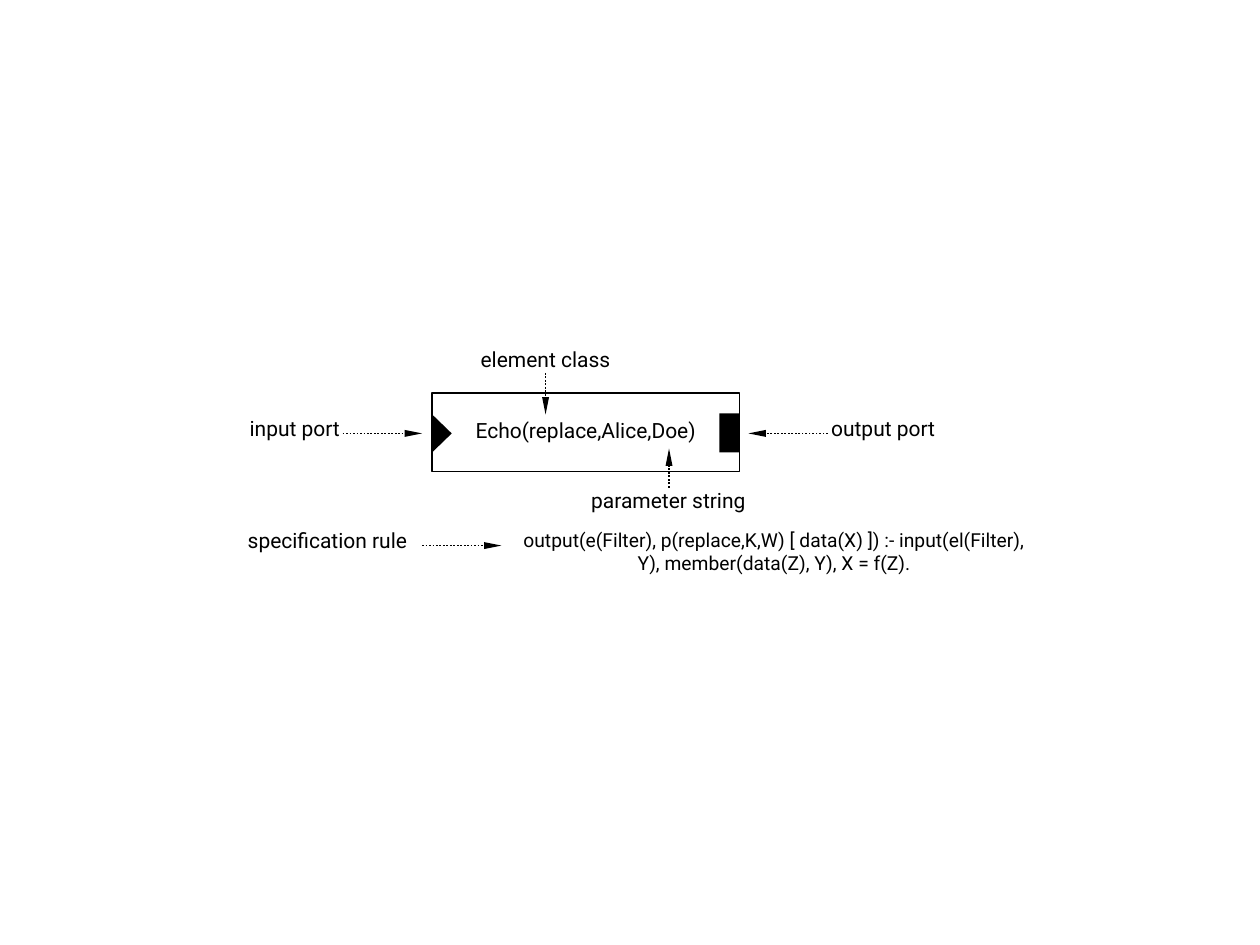
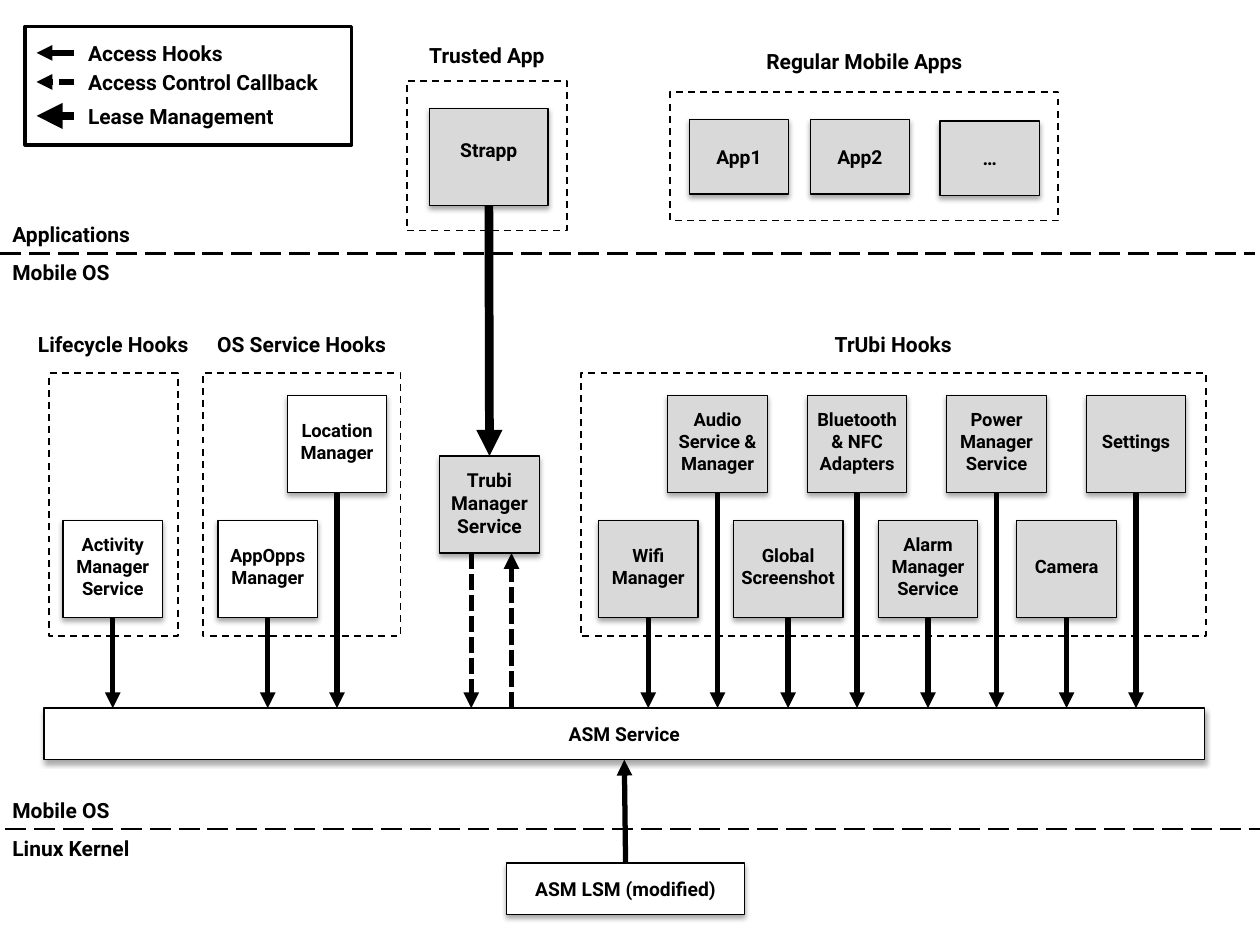
from lxml import etree
from pptx import Presentation
from pptx import util as u
from pptx.dml.color import RGBColor
from pptx.enum import dml, shapes, text
from pptx.oxml.ns import qn

UNIT = u.Inches(0.1)
COLS, ROWS = 100, 75
FONT = "Roboto"
BLACK, WHITE, GREY = "000000", "FFFFFF", "D9D9D9"
RECT = shapes.MSO_SHAPE.RECTANGLE
TRIANGLE = shapes.MSO_SHAPE.ISOSCELES_TRIANGLE
DASH = dml.MSO_LINE
CENTER, LEFT = text.PP_ALIGN.CENTER, text.PP_ALIGN.LEFT
TILE_W, TILE_H = 7.9, 7.7


def rgb(color):
    return RGBColor.from_string(color)


def grid(*lengths):
    return [u.Emu(round(n * UNIT)) for n in lengths]


def write(sp, content, size=12, bold=False, align=CENTER,
          anchor=text.MSO_ANCHOR.TOP, insets=(1, 0.5, 1, 0.5)):
    tf = sp.text_frame
    tf.word_wrap = True
    tf.vertical_anchor = anchor
    tf.margin_left, tf.margin_top, tf.margin_right, tf.margin_bottom = grid(*insets)
    for i, line in enumerate(content.split("\n")):
        p = tf.paragraphs[0] if i == 0 else tf.add_paragraph()
        p.alignment = align
        r = p.add_run()
        r.text = line
        r.font.name, r.font.size, r.font.bold = FONT, u.Pt(size), bold
        r.font.color.rgb = rgb(BLACK)


def label(s, x, y, w, content, h=3, **fmt):
    write(s.shapes.add_textbox(*grid(x, y, w, h)), content, **fmt)


def stroke(line, width, dash=None):
    line.color.rgb = rgb(BLACK)
    line.width = u.Pt(width)
    if dash:
        line.dash_style = dash


def box(s, x, y, w, h, fill=None, width=0.75, dash=None, kind=RECT):
    sp = s.shapes.add_shape(kind, *grid(x, y, w, h))
    sp.shadow.inherit = False
    if fill:
        sp.fill.solid()
        sp.fill.fore_color.rgb = rgb(fill)
    else:
        sp.fill.background()
    if width:
        stroke(sp.line, width, dash)
    else:
        sp.line.fill.background()
    return sp


def cast_shadow(sp):
    effects = sp._element.spPr.find(qn("a:effectLst"))
    shadow = etree.SubElement(effects, qn("a:outerShdw"), blurRad=str(u.Pt(3.1)),
                              dist=str(u.Pt(1.8)), dir="5400000",
                              algn="t", rotWithShape="0")
    color = etree.SubElement(shadow, qn("a:srgbClr"), val=BLACK)
    etree.SubElement(color, qn("a:alpha"), val="35000")


def tile(s, x, y, w, h, content, fill=GREY, size=10.5, lift=0.5):
    sp = box(s, x, y, w, h, fill)
    cast_shadow(sp)
    write(sp, content, size=size, bold=True, anchor=text.MSO_ANCHOR.MIDDLE,
          insets=(0.4, 0, 0.4, lift))
    return sp


def connect(s, x1, y1, x2, y2, width=3, dash=None, head=("med", "med"),
            start=None, end=None):
    c = s.shapes.add_connector(shapes.MSO_CONNECTOR.STRAIGHT, *grid(x1, y1, x2, y2))
    if start:
        c.begin_connect(*start)
    if end:
        c.end_connect(*end)
    stroke(c.line, width, dash)
    if head:
        etree.SubElement(c.line._get_or_add_ln(), qn("a:tailEnd"),
                         type="triangle", w=head[0], len=head[1])
    etree.SubElement(c._element.spPr, qn("a:effectLst"))


def pointer(s, *ends):
    connect(s, *ends, width=1, dash=DASH.ROUND_DOT, head=("sm", "lg"))


def element(s, x, y, w, h):
    body = box(s, x, y, w, h)
    write(body, "Echo(replace,Alice,Doe)", anchor=text.MSO_ANCHOR.MIDDLE,
          insets=(1, 0, 1, 0.4))
    port_w, port_h = 1.6, 3.1
    box(s, x + w - port_w, y + 1.6, port_w, port_h, BLACK, width=0)
    inlet = box(s, x - 0.8, y + 2.4, port_h, port_w, BLACK, width=0, kind=TRIANGLE)
    inlet.rotation = 90
    for dx, dy, label_w, name in ((-18.4, 1.3, 15, "input port"),
                                  (28.3, 1.3, 15, "output port"),
                                  (1.5, -4.2, 15, "element class"),
                                  (8.1, 7, 21.3, "parameter string")):
        label(s, x + dx, y + dy, label_w, name)
    for x1, y1, x2, y2 in ((-7.1, 3.2, -0.8, 3.2), (w + 7, 3.2, w + 0.7, 3.2),
                           (9, -1.6, 9, 1.7), (18.8, 7.5, 18.8, 4.4)):
        pointer(s, x + x1, y + y1, x + x2, y + y2)


def rule(s, x, y, w):
    label(s, x, y, 15, "specification rule")
    pointer(s, x + 15, y + 1.9, x + 21.3, y + 1.9)
    label(s, x + 21.3, y, w - 21.3,
          "output(e(Filter), p(replace,K,W) [ data(X) ]) :- input(el(Filter), Y), "
          "member(data(Z), Y), X = f(Z).", h=4.7, size=11)


def legend(s, x, y, w, h):
    box(s, x, y, w, h, width=2)
    for dy, name, width, dash in ((2.1, "Access Hooks", 3, None),
                                  (4.4, "Access Control Callback", 3, DASH.SQUARE_DOT),
                                  (7.1, "Lease Management", 5, None)):
        connect(s, x + 3.9, y + dy, x + 0.9, y + dy, width, dash)
        label(s, x + 4, y + dy - 1.5, w - 4, name, bold=True, align=LEFT)


def frame(s, x, y, w, h, title, rise=3.8):
    box(s, x, y, w, h, width=1, dash=DASH.DASH)
    title_w = max(w, 18)
    label(s, x + (w - title_w) / 2, y - rise, title_w, title, bold=True)


def divider(s, x, y, w, above, below):
    connect(s, x, y, x + w, y, width=1.5, dash=DASH.LONG_DASH, head=None)
    for name, top in ((above, y - 3), (below, y)):
        label(s, 0, top, 22, name, bold=True, align=LEFT)


def trusted_app(s, x, y, w, h):
    frame(s, x, y, w, h, "Trusted App", rise=3.5)
    return tile(s, x + 1.8, y + 2.2, 9.4, TILE_H, "Strapp", size=11, lift=1.1)


def regular_apps(s, x, y, w, h):
    frame(s, x, y, w, h, "Regular Mobile Apps", rise=3.9)
    for dx, dy, name in ((1.5, 2.2, "App1"), (11.1, 2.2, "App2"), (21.4, 2.3, "…")):
        tile(s, x + dx, y + dy, TILE_W, 5.9, name, size=11, lift=0)


def hooks(s, x, y, w, h, title, tiles, service, fill=WHITE):
    for dx, row, tile_w, name in tiles:
        sp = tile(s, x + dx, y + 1.8 + 9.9 * row, tile_w, TILE_H, name, fill)
        center = x + dx + tile_w / 2
        connect(s, center, y, center, service.top / UNIT, start=(sp, 2))
    frame(s, x, y, w, h, title)


def manager(s, x, y, strapp, service):
    sp = tile(s, x, y, TILE_W, TILE_H, "Trubi\nManager\nService", size=11, lift=0.3)
    connect(s, x, y, x, y, width=5, start=(strapp, 2), end=(sp, 0))
    bottom, service_top = y + TILE_H, service.top / UNIT
    for dx, y1, y2 in ((2.5, bottom, service_top), (5.7, service_top, bottom)):
        connect(s, x + dx, y1, x + dx, y2, dash=DASH.SQUARE_DOT)


def element_slide(prs):
    s = prs.slides.add_slide(prs.slide_layouts[6])
    element(s, 34.3, 31.2, 24.4, 6.2)
    rule(s, 18.5, 41.4, 64.6)


def architecture_slide(prs):
    s = prs.slides.add_slide(prs.slide_layouts[6])
    divider(s, 0, 20.1, COLS - 0.4, "Applications", "Mobile OS")
    divider(s, 0.4, 65.8, COLS - 0.4, "Mobile OS", "Linux Kernel")
    service = tile(s, 3.5, 56.2, 92.1, 4.1, "ASM Service", WHITE, 11, lift=0)
    kernel = tile(s, 40.2, 68.5, 18.9, 4.1, "ASM LSM (modified)", WHITE, 11, lift=0)
    connect(s, 49.6, 68.5, 49.6, 60.3, start=(kernel, 0), end=(service, 2))

    legend(s, 2, 2.1, 25.9, 9.4)
    strapp = trusted_app(s, 32.3, 6.4, 12.7, 11.9)
    regular_apps(s, 53.2, 7.3, 30.8, 10.2)
    manager(s, 34.9, 36.2, strapp, service)

    top, height = 29.6, 20.9
    hooks(s, 3.9, top, 10.2, height, "Lifecycle Hooks",
          [(1.1, 1, TILE_W, "Activity\nManager\nService")], service)
    hooks(s, 16.1, top, 15.7, height, "OS Service Hooks",
          [(1.2, 1, TILE_W, "AppOpps\nManager"),
           (6.7, 0, TILE_W, "Location\nManager")], service)
    upper = ["Audio\nService & Manager", "Bluetooth & NFC Adapters",
             "Power\nManager\nService", "Settings"]
    tiles = [(6.9 + 11.07 * i, 0, TILE_W, name) for i, name in enumerate(upper)]
    tiles += [(1.4, 1, TILE_W, "Wifi\nManager"), (12.1, 1, 8.7, "Global\nScreenshot"),
              (23.6, 1, TILE_W, "Alarm\nManager\nService"), (34.6, 1, TILE_W, "Camera")]
    hooks(s, 46.1, top, 49.6, height, "TrUbi Hooks", tiles, service, GREY)


def main():
    prs = Presentation()
    prs.slide_width, prs.slide_height = grid(COLS, ROWS)
    element_slide(prs)
    architecture_slide(prs)
    prs.save("out.pptx")


if __name__ == "__main__":
    main()
